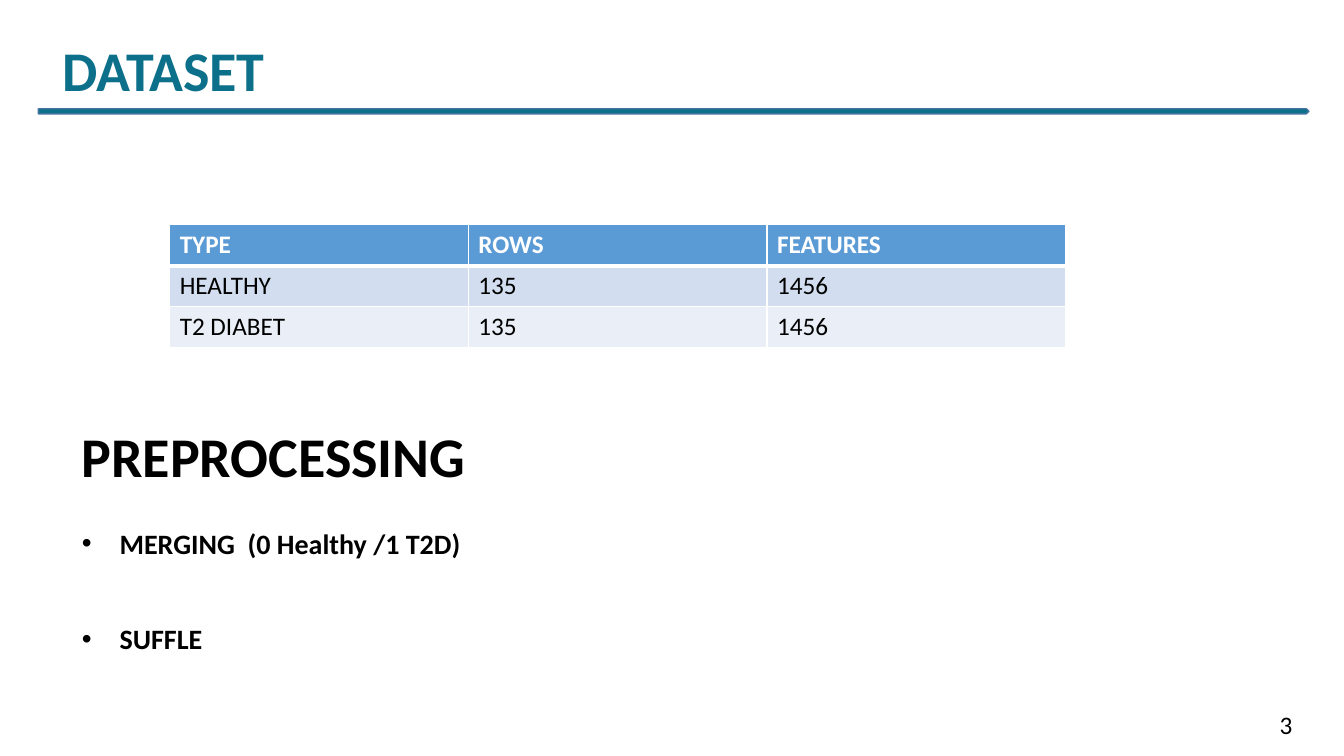
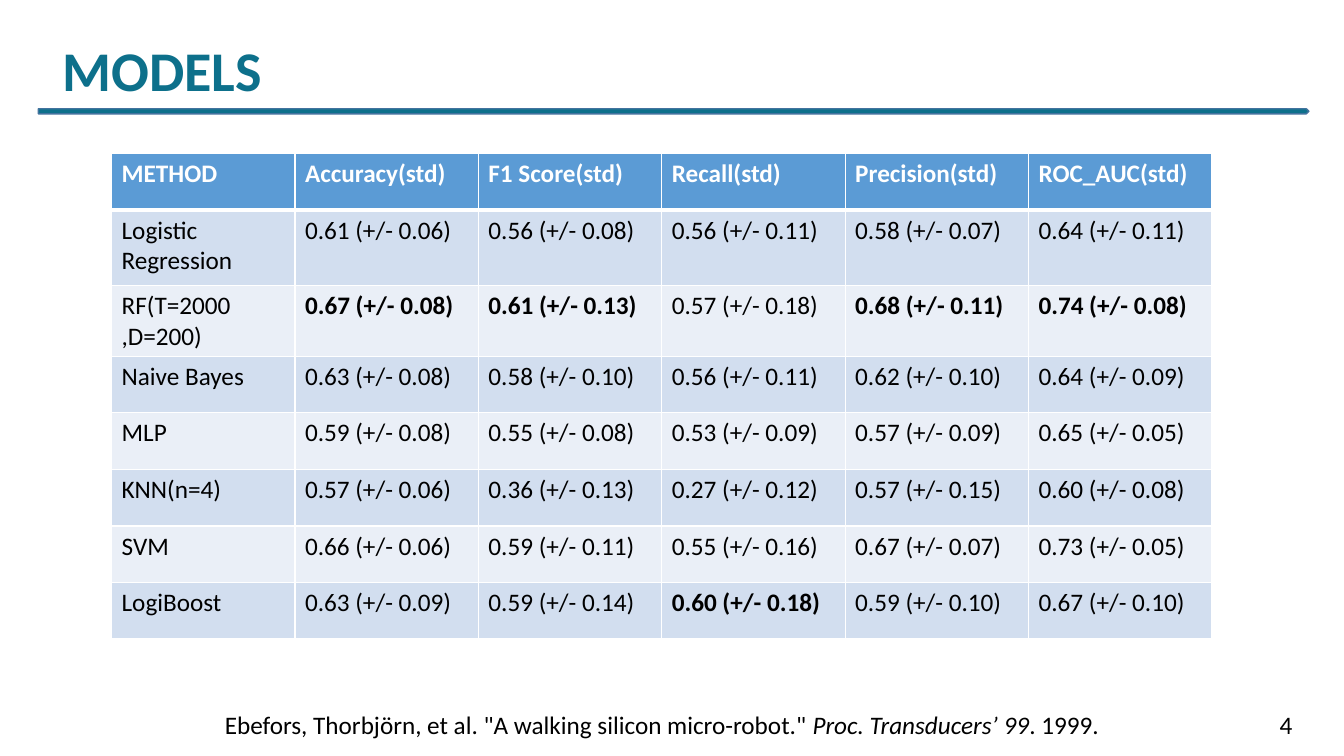
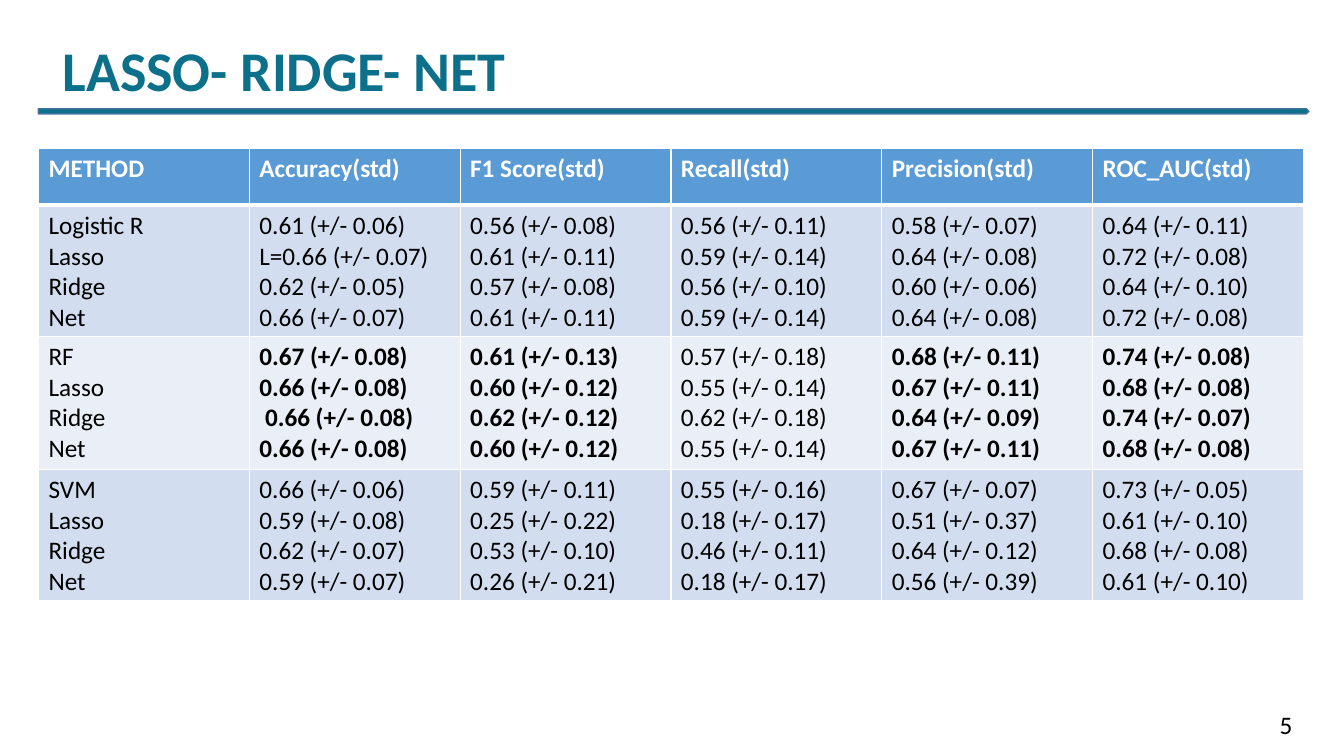
from lxml import etree
from pptx import Presentation
from pptx import util as u
from pptx.dml.color import RGBColor
from pptx.enum import shapes, text
from pptx.oxml.ns import qn

Pt = u.Pt

TEAL = RGBColor(0x0D, 0x70, 0x8B)
BAND_EDGE = RGBColor(0x43, 0x73, 0x9E)
HEADER_BLUE = RGBColor(0x5B, 0x9B, 0xD5)
ROW_TINTS = (RGBColor(0xD2, 0xDE, 0xEF), RGBColor(0xEA, 0xEF, 0xF7))
WHITE = RGBColor(0xFF, 0xFF, 0xFF)
BLACK = RGBColor(0x00, 0x00, 0x00)

TITLE_ONLY, TWO_BODIES = 5, 3

# Table contents
DATASET = [
    ("TYPE", "ROWS", "FEATURES"),
    ("HEALTHY", "135", "1456"),
    ("T2 DIABET", "135", "1456"),
]

METRICS = ("METHOD", "Accuracy(std)", "F1 Score(std)", "Recall(std)",
           "Precision(std)", "ROC_AUC(std)")

MODELS = [
    METRICS,
    ("Logistic Regression", "0.61 (+/- 0.06)", "0.56 (+/- 0.08)",
     "0.56 (+/- 0.11)", "0.58 (+/- 0.07)", "0.64 (+/- 0.11)"),
    ("RF(T=2000\n,D=200)", "0.67 (+/- 0.08)", "0.61 (+/- 0.13)",
     "0.57 (+/- 0.18)", "0.68 (+/- 0.11)", "0.74 (+/- 0.08)"),
    ("Naive Bayes", "0.63 (+/- 0.08)", "0.58 (+/- 0.10)",
     "0.56 (+/- 0.11)", "0.62 (+/- 0.10)", "0.64 (+/- 0.09)"),
    ("MLP", "0.59 (+/- 0.08)", "0.55 (+/- 0.08)",
     "0.53 (+/- 0.09)", "0.57 (+/- 0.09)", "0.65 (+/- 0.05)"),
    ("KNN(n=4)", "0.57 (+/- 0.06)", "0.36 (+/- 0.13)",
     "0.27 (+/- 0.12)", "0.57 (+/- 0.15)", "0.60 (+/- 0.08)"),
    ("SVM", "0.66 (+/- 0.06)", "0.59 (+/- 0.11)",
     "0.55 (+/- 0.16)", "0.67 (+/- 0.07)", "0.73 (+/- 0.05)"),
    ("LogiBoost", "0.63 (+/- 0.09)", "0.59 (+/- 0.14)",
     "0.60 (+/- 0.18)", "0.59 (+/- 0.10)", "0.67 (+/- 0.10)"),
]

# One group per model: plain, then each feature selection
SELECTIONS = [
    [
        ("Logistic R", "0.61 (+/- 0.06)", "0.56 (+/- 0.08)",
         "0.56 (+/- 0.11)", "0.58 (+/- 0.07)", "0.64 (+/- 0.11)"),
        ("Lasso", "L=0.66 (+/- 0.07)", "0.61 (+/- 0.11)",
         "0.59 (+/- 0.14)", "0.64 (+/- 0.08)", "0.72 (+/- 0.08)"),
        ("Ridge", "0.62 (+/- 0.05)", "0.57 (+/- 0.08)",
         "0.56 (+/- 0.10)", "0.60 (+/- 0.06)", "0.64 (+/- 0.10)"),
        ("Net", "0.66 (+/- 0.07)", "0.61 (+/- 0.11)",
         "0.59 (+/- 0.14)", "0.64 (+/- 0.08)", "0.72 (+/- 0.08)"),
    ],
    [
        ("RF", "0.67 (+/- 0.08)", "0.61 (+/- 0.13)",
         "0.57 (+/- 0.18)", "0.68 (+/- 0.11)", "0.74 (+/- 0.08)"),
        ("Lasso", "0.66 (+/- 0.08)", "0.60 (+/- 0.12)",
         "0.55 (+/- 0.14)", "0.67 (+/- 0.11)", "0.68 (+/- 0.08)"),
        ("Ridge", " 0.66 (+/- 0.08)", "0.62 (+/- 0.12)",
         "0.62 (+/- 0.18)", "0.64 (+/- 0.09)", "0.74 (+/- 0.07)"),
        ("Net", "0.66 (+/- 0.08)", "0.60 (+/- 0.12)",
         "0.55 (+/- 0.14)", "0.67 (+/- 0.11)", "0.68 (+/- 0.08)"),
    ],
    [
        ("SVM", "0.66 (+/- 0.06)", "0.59 (+/- 0.11)",
         "0.55 (+/- 0.16)", "0.67 (+/- 0.07)", "0.73 (+/- 0.05)"),
        ("Lasso", "0.59 (+/- 0.08)", "0.25 (+/- 0.22)",
         "0.18 (+/- 0.17)", "0.51 (+/- 0.37)", "0.61 (+/- 0.10)"),
        ("Ridge", "0.62 (+/- 0.07)", "0.53 (+/- 0.10)",
         "0.46 (+/- 0.11)", "0.64 (+/- 0.12)", "0.68 (+/- 0.08)"),
        ("Net", "0.59 (+/- 0.07)", "0.26 (+/- 0.21)",
         "0.18 (+/- 0.17)", "0.56 (+/- 0.39)", "0.61 (+/- 0.10)"),
    ],
]

# Bold cells as (row, column)
RF_BEST = {(2, 1), (2, 2), (2, 4), (2, 5)}


class Deck:
    """Shared style plus the slide being built."""

    FONT = "Calibri"
    HEADING_SIZE, LIST_SIZE, TEXT_SIZE = 40, 20, 18

    def __init__(self):
        self.prs = Presentation()
        self.prs.slide_width, self.prs.slide_height = Pt(960), Pt(540)
        self.slide = None

    def style(self, frame, size, color=BLACK, bold=False):
        for paragraph in frame.paragraphs:
            for run in paragraph.runs:
                run.font.name = self.FONT
                run.font.size = Pt(size)
                run.font.bold = bold
                run.font.color.rgb = color

    def paint(self, part, fill, edge):
        part.fill.solid()
        part.fill.fore_color.rgb = fill
        part.line.color.rgb = edge
        part.line.width = Pt(1)

    def new_slide(self, title, number, title_width=428.5, layout=TITLE_ONLY):
        self.slide = self.prs.slides.add_slide(self.prs.slide_layouts[layout])
        self.panel(self.slide.shapes.title, title, 37.5, 15, title_width, 68.5,
                   self.HEADING_SIZE, TEAL)
        self.band()
        self.textbox(str(number), 907, 502.8, 24, 29, wrap=False)

    def panel(self, part, words, left, top, width, height, size, color=BLACK):
        """White block with bold, vertically centred text."""
        part.left, part.top = Pt(left), Pt(top)
        part.width, part.height = Pt(width), Pt(height)
        self.paint(part, WHITE, WHITE)
        frame = part.text_frame
        frame.text = words
        frame.word_wrap = True
        frame.auto_size = text.MSO_AUTO_SIZE.NONE
        frame.vertical_anchor = text.MSO_ANCHOR.MIDDLE
        frame.paragraphs[0].alignment = text.PP_ALIGN.LEFT
        frame.paragraphs[0].space_before = Pt(0)
        self.style(frame, size, color, bold=True)

    def preset(self, kind, left, top, width, height):
        part = self.slide.shapes.add_shape(
            kind, Pt(left), Pt(top), Pt(width), Pt(height))
        part.shadow.inherit = False
        return part

    def band(self):
        rule = self.preset(shapes.MSO_SHAPE.PENTAGON, 27.4, 77.7, 907.5, 3.6)
        self.paint(rule, TEAL, BAND_EDGE)

    def heading(self, words, left, top, width, height):
        block = self.preset(shapes.MSO_SHAPE.RECTANGLE,
                            left, top, width, height)
        self.panel(block, words, left, top, width, height, self.HEADING_SIZE)

    def bullets(self, items, left, top, width, height, pitch):
        """One body placeholder per item, at an even pitch."""
        for index, item in enumerate(items):
            self.panel(self.slide.placeholders[index + 1], item, left,
                       top + index * pitch, width, height, self.LIST_SIZE)

    def textbox(self, words, left, top, width, height, wrap=True):
        box = self.slide.shapes.add_textbox(
            Pt(left), Pt(top), Pt(width), Pt(height))
        frame = box.text_frame
        frame.word_wrap = wrap
        frame.auto_size = text.MSO_AUTO_SIZE.SHAPE_TO_FIT_TEXT
        frame.text = words
        self.style(frame, self.TEXT_SIZE)
        return frame

    def borders(self, cell, row):
        """White grid, thicker under the header row."""
        widths = {"a:lnL": 1, "a:lnR": 1,
                  "a:lnT": 3 if row == 1 else 1,
                  "a:lnB": 3 if row == 0 else 1}
        properties = cell._tc.get_or_add_tcPr()
        for side, width in widths.items():
            edge = etree.SubElement(properties, qn(side), w=str(Pt(width)))
            fill = etree.SubElement(edge, qn("a:solidFill"))
            etree.SubElement(fill, qn("a:srgbClr"), val=str(WHITE))

    def table(self, rows, left, top, width, heights, bold_cells=()):
        columns = len(rows[0])
        grid = self.slide.shapes.add_table(
            len(rows), columns, Pt(left), Pt(top), Pt(width),
            Pt(sum(heights))).table
        for column in grid.columns:
            column.width = Pt(width / columns)
        for r, (row, height) in enumerate(zip(rows, heights)):
            grid.rows[r].height = Pt(height)
            header = r == 0
            for c, words in enumerate(row):
                cell = grid.cell(r, c)
                cell.text_frame.text = words
                self.style(cell.text_frame, self.TEXT_SIZE,
                           WHITE if header else BLACK,
                           bold=header or (r, c) in bold_cells)
                self.borders(cell, r)
                cell.fill.solid()
                cell.fill.fore_color.rgb = (
                    HEADER_BLUE if header else ROW_TINTS[(r - 1) % 2])


def main():
    deck = Deck()

    # Dataset and preprocessing
    deck.new_slide("DATASET", 3, title_width=664, layout=TWO_BODIES)
    deck.table(DATASET, 121.2, 160.6, 640, [29.2] * 3)
    deck.heading("PREPROCESSING", 51.2, 291, 428.5, 68.5)
    deck.bullets(["MERGING  (0 Healthy /1 T2D)", "SUFFLE"],
                 51.2, 359.2, 430, 57, pitch=68.4)

    # Model comparison
    deck.new_slide("MODELS", 4)
    citation = deck.textbox(
        'Ebefors, Thorbjörn, et al. "A walking silicon micro-robot." ',
        153.5, 502.8, 676, 29)
    for words, italic in (("Proc. Transducers’ 99", True), (". 1999.", False)):
        run = citation.paragraphs[0].add_run()
        run.text = words
        run.font.italic = italic
    deck.style(citation, deck.TEXT_SIZE)
    deck.table(MODELS, 79.7, 109.7, 786, [40.4, 54] + [40.4] * 6,
               RF_BEST | {(7, 3)})

    # Feature selection
    deck.new_slide("LASSO- RIDGE- NET", 5)
    grouped = [["\n".join(lines) for lines in zip(*group)]
               for group in SELECTIONS]
    deck.table([METRICS] + grouped, 27.5, 105.8, 903.6,
               [40.8, 93.6, 95, 93.6], RF_BEST)

    deck.prs.save("out.pptx")


if __name__ == "__main__":
    main()
